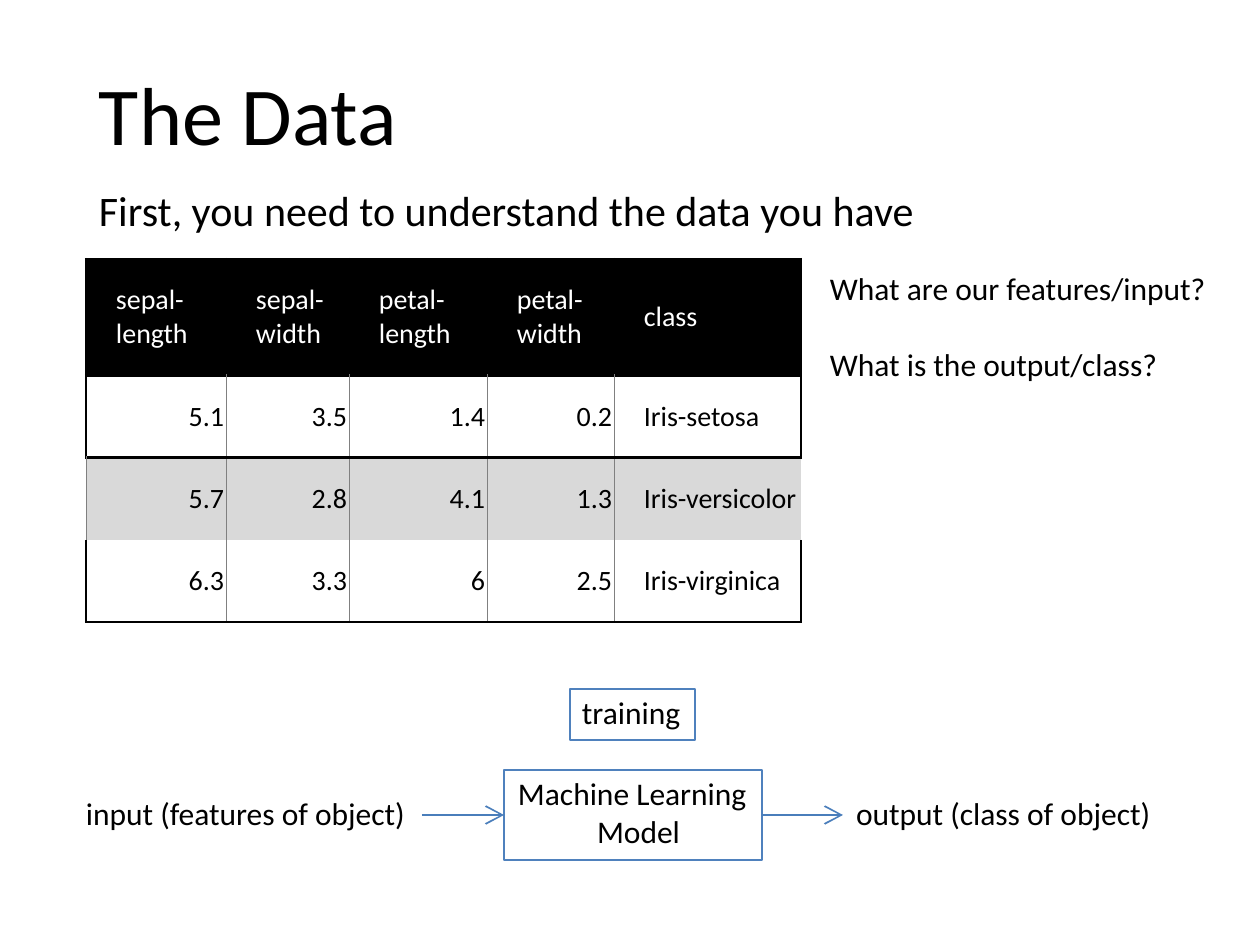
"""Build a slide that introduces the iris data and the model trained on it."""
from dataclasses import dataclass
from typing import Optional

from lxml import etree
from pptx import Presentation
from pptx import util as u
from pptx.dml.color import RGBColor
from pptx.enum import shapes, text
from pptx.oxml import ns

SCALE = 914400 / 126


@dataclass(frozen=True)
class Theme:
    font: str = "Calibri"
    black: str = "000000"
    white: str = "FFFFFF"
    band: str = "D9D9D9"
    grid: str = "808080"
    outline: str = "4F81BD"
    arrow: str = "4A7EBB"
    title: int = 47
    subtitle: int = 24
    body: int = 18
    table: int = 16
    outline_width: float = 0.75
    arrow_width: float = 1
    rule_width: float = 1.5
    grid_width: float = 0.5


@dataclass(frozen=True)
class Label:
    lines: tuple[str, ...]
    left: int
    top: int
    width: int
    height: int
    size: int
    inset_left: int = 0
    inset_top: int = 1
    inset_bottom: int = 0
    anchor: text.MSO_ANCHOR = text.MSO_ANCHOR.TOP
    line_spacing: float = 1.0
    paragraph_gap: int = 0
    hanging: int = 0
    outlined: bool = False


@dataclass(frozen=True)
class Arrow:
    start: int
    end: int
    y: int
    begin_site: Optional[int] = None
    end_site: Optional[int] = None


THEME = Theme()
RULE = (THEME.black, THEME.rule_width)
GRID = (THEME.grid, THEME.grid_width)
COLUMNS = (140, 123, 138, 127, 187)
ROWS = (114, 81, 81, 81)
DATA = (
    ("sepal-length", "sepal-width", "petal-length", "petal-width", "class"),
    ("5.1", "3.5", "1.4", "0.2", "Iris-setosa"),
    ("5.7", "2.8", "4.1", "1.3", "Iris-versicolor"),
    ("6.3", "3.3", "6", "2.5", "Iris-virginica"),
)
LABELS = (
    Label(("The Data",), 87, 40, 1086, 129, THEME.title, 12, 6, 6,
          anchor=text.MSO_ANCHOR.BOTTOM, line_spacing=0.9),
    Label(("First, you need to understand the data you have",), 87, 184, 1086, 58,
          THEME.subtitle, 12, 6, 6, line_spacing=0.9),
    Label(("input (features of object)",), 85, 793, 323, 42, THEME.body, 1),
    Label(("output (class of object)",), 855, 793, 299, 42, THEME.body, 1),
    Label(("training",), 570, 689, 125, 51, THEME.body, 12, 4, outlined=True),
    Label(("What are our features/input?", "What is the output/class?"),
          818, 263, 469, 127, THEME.body, 12, 6, 6, paragraph_gap=22),
)
MODEL = Label(("Machine Learning Model",), 504, 770, 258, 90, THEME.body, 14, 4,
              hanging=79, outlined=True)
ARROWS = (Arrow(422, 504, 815, end_site=1), Arrow(762, 843, 815, begin_site=3))


def px(length: int) -> u.Emu:
    """Turn pixels into EMU."""
    return u.Emu(round(length * SCALE))


def color(value: str) -> RGBColor:
    """Return the colour for a hex string."""
    return RGBColor.from_string(value)


def style_font(paragraph, size: int, value: str) -> None:
    """Set the theme font, a size and a colour on a paragraph."""
    paragraph.font.name = THEME.font
    paragraph.font.size = u.Pt(size)
    paragraph.font.color.rgb = color(value)


def add_label(slide, label: Label):
    """Draw a text box or an outlined rectangle with text."""
    box = tuple(map(px, (label.left, label.top, label.width, label.height)))
    if label.outlined:
        shape = slide.shapes.add_shape(shapes.MSO_SHAPE.RECTANGLE, *box)
        shape.shadow.inherit = False
        shape.fill.background()
        shape.line.color.rgb = color(THEME.outline)
        shape.line.width = u.Pt(THEME.outline_width)
    else:
        shape = slide.shapes.add_textbox(*box)
    frame = shape.text_frame
    frame.word_wrap = True
    frame.vertical_anchor = label.anchor
    frame.margin_left, frame.margin_right = px(label.inset_left), 0
    frame.margin_top, frame.margin_bottom = px(label.inset_top), px(label.inset_bottom)
    frame.text = "\n".join(label.lines)
    for index, paragraph in enumerate(frame.paragraphs):
        paragraph.alignment = text.PP_ALIGN.LEFT
        paragraph.line_spacing = label.line_spacing
        paragraph.space_before = u.Pt(label.paragraph_gap if index else 0)
        style_font(paragraph, label.size, THEME.black)
        if label.hanging:
            properties = paragraph._p.get_or_add_pPr()
            properties.set("marL", str(px(label.hanging)))
            properties.set("indent", str(-px(label.hanging)))
    return shape


def add_arrow(slide, arrow: Arrow, model) -> None:
    """Draw an open-headed arrow joined to a side of the model."""
    connector = slide.shapes.add_connector(
        shapes.MSO_CONNECTOR.STRAIGHT, px(arrow.start), px(arrow.y), px(arrow.end), px(arrow.y))
    if arrow.begin_site is not None:
        connector.begin_connect(model, arrow.begin_site)
    if arrow.end_site is not None:
        connector.end_connect(model, arrow.end_site)
    connector.line.color.rgb = color(THEME.arrow)
    connector.line.width = u.Pt(THEME.arrow_width)
    line = connector.line._get_or_add_ln()
    etree.SubElement(line, ns.qn("a:tailEnd"), type="arrow", w="lg", len="lg")
    etree.SubElement(connector._element.spPr, ns.qn("a:effectLst"))


def set_borders(cell, borders: dict) -> None:
    """Write the left, right, top and bottom borders of a cell."""
    properties = cell._tc.get_or_add_tcPr()
    for index, side in enumerate("LRTB"):
        line = etree.Element(ns.qn(f"a:ln{side}"))
        properties.insert(index, line)
        if borders.get(side):
            value, width = borders[side]
            line.set("w", str(u.Pt(width)))
            fill = etree.SubElement(line, ns.qn("a:solidFill"))
            etree.SubElement(fill, ns.qn("a:srgbClr"), val=value)
        else:
            etree.SubElement(line, ns.qn("a:noFill"))


def cell_borders(row: int, column: int) -> dict:
    """Return the borders that a cell's place in the table calls for."""
    first, last = column == 0, column == len(COLUMNS) - 1
    if row == 0:
        return {"L": RULE, "R": RULE, "T": RULE, "B": RULE}
    if row == 2:
        return {"L": GRID, "R": None if last else GRID, "T": RULE}
    return {"L": RULE if first else GRID, "R": RULE if last else GRID,
            "T": RULE if row == 1 else None, "B": RULE}


def add_data_table(slide) -> None:
    """Draw the iris table."""
    frame = slide.shapes.add_table(len(ROWS), len(COLUMNS), px(86), px(259),
                                   px(sum(COLUMNS)), px(sum(ROWS)))
    table = frame.table
    table._tbl.tblPr.find(ns.qn("a:tableStyleId")).text = "{2D5ABB26-0587-4C30-8999-92F81FD0307C}"
    for column, width in zip(table.columns, COLUMNS):
        column.width = px(width)
    for row, height in enumerate(ROWS):
        table.rows[row].height = px(height)
        fill = {0: THEME.black, 2: THEME.band}.get(row)
        for column, value in enumerate(DATA[row]):
            cell = table.cell(row, column)
            cell.text = value
            cell.margin_left, cell.margin_right = px(30), px(2)
            cell.margin_top = cell.margin_bottom = px(24)
            cell.vertical_anchor = text.MSO_ANCHOR.BOTTOM if row else text.MSO_ANCHOR.MIDDLE
            paragraph = cell.text_frame.paragraphs[0]
            number = row > 0 and column < len(COLUMNS) - 1
            paragraph.alignment = text.PP_ALIGN.RIGHT if number else text.PP_ALIGN.LEFT
            style_font(paragraph, THEME.table, THEME.black if row else THEME.white)
            if fill:
                cell.fill.solid()
                cell.fill.fore_color.rgb = color(fill)
            else:
                cell.fill.background()
            set_borders(cell, cell_borders(row, column))


def main() -> None:
    """Build and save the presentation."""
    presentation = Presentation()
    presentation.slide_width, presentation.slide_height = px(1260), px(945)
    slide = presentation.slides.add_slide(presentation.slide_layouts[6])
    add_data_table(slide)
    for label in LABELS:
        add_label(slide, label)
    model = add_label(slide, MODEL)
    for arrow in ARROWS:
        add_arrow(slide, arrow, model)
    presentation.save("out.pptx")


if __name__ == "__main__":
    main()
